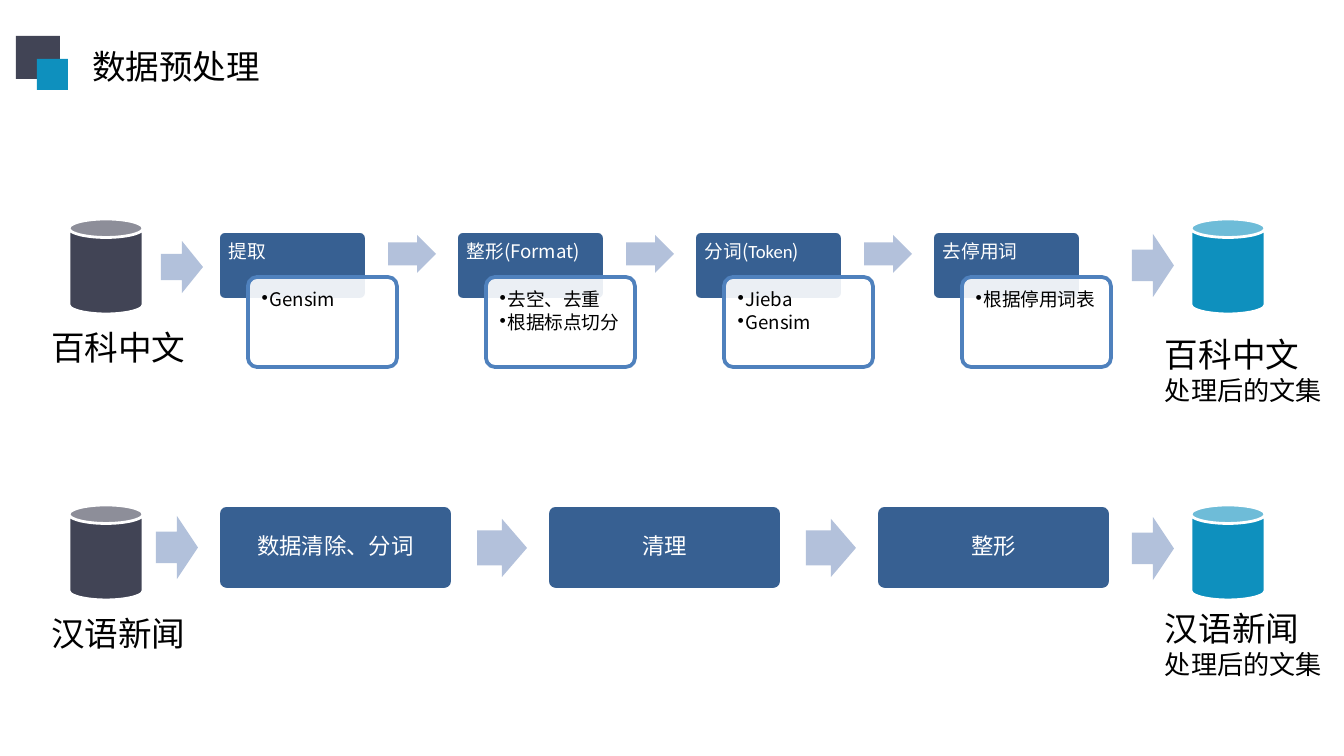
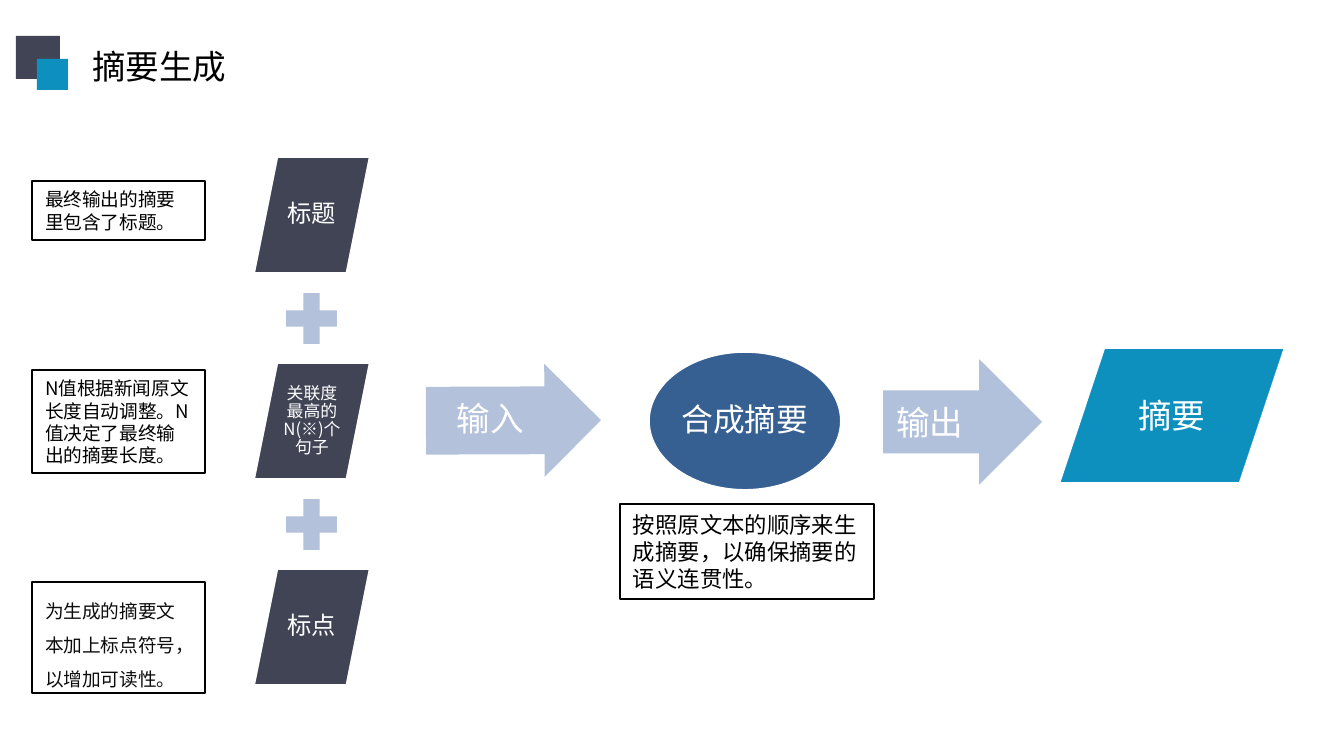
"""Builds two slides on data preprocessing and summary generation."""
from lxml import etree
from pptx import Presentation
from pptx.dml.color import RGBColor
from pptx.enum.shapes import MSO_SHAPE
from pptx.enum.text import MSO_ANCHOR, MSO_AUTO_SIZE, PP_ALIGN
from pptx.oxml.ns import qn
from pptx.util import Emu, Pt

RECT, ROUND, CAN = MSO_SHAPE.RECTANGLE, MSO_SHAPE.ROUNDED_RECTANGLE, MSO_SHAPE.CAN
ARROW, PLUS, OVAL = MSO_SHAPE.RIGHT_ARROW, MSO_SHAPE.MATH_PLUS, MSO_SHAPE.OVAL
DATA = MSO_SHAPE.FLOWCHART_DATA
TOP, MIDDLE = MSO_ANCHOR.TOP, MSO_ANCHOR.MIDDLE
LEFT, CENTER = PP_ALIGN.LEFT, PP_ALIGN.CENTER

PIXEL = 914400 / 134.4
FONT = "Noto Sans CJK SC"
DARK, TEAL, BLUE, FRAME = "414455", "0E90BE", "376092", "4F81BD"
PALE, PALE_OUT, WHITE, BLACK = "B3C1DB", "B2C1DB", "FFFFFF", "000000"
NARROW_ARROW = (0.6, 0.5)
color = RGBColor.from_string


def draw(page, kind, bounds, fill=None, line=None, weight=2, adjust=()):
    """Add a preset shape with its fill, outline and adjustments."""
    shape = page.shapes.add_shape(kind, *[Emu(round(v * PIXEL)) for v in bounds])
    shape.shadow.inherit = False
    for index, value in enumerate(adjust):
        shape.adjustments[index] = value
    if fill:
        shape.fill.solid()
        shape.fill.fore_color.rgb = color(fill)
    else:
        shape.fill.background()
    if line:
        shape.line.color.rgb = color(line)
        shape.line.width = Pt(weight)
    else:
        shape.line.fill.background()
    return shape


def write(shape, lines, sizes, ink=BLACK, align=LEFT, anchor=TOP,
          insets=(13, 7, 13, 7), spacing=1.0, font=FONT, bullet=False):
    """Fill a shape with paragraphs; a bar inside a line starts a new run."""
    frame = shape.text_frame
    frame.word_wrap = True
    frame.auto_size = MSO_AUTO_SIZE.NONE
    frame.vertical_anchor = anchor
    (frame.margin_left, frame.margin_top, frame.margin_right,
     frame.margin_bottom) = [Emu(round(v * PIXEL)) for v in insets]
    for index, (line, size) in enumerate(zip(lines, sizes)):
        para = frame.paragraphs[0] if index == 0 else frame.add_paragraph()
        para.alignment = align
        para.line_spacing = spacing
        for piece in line.split("|"):
            span = para.add_run()
            span.text = piece
            span.font.size = Pt(size)
            span.font.name = font
            span.font.color.rgb = color(ink)
            east = etree.SubElement(span.font._element, qn("a:ea"))
            east.set("typeface", FONT)
        if bullet:
            para.space_after = Pt(1.5)
            settings = para._p.get_or_add_pPr()
            settings.set("marL", str(round(8 * PIXEL)))
            settings.set("indent", str(round(-8 * PIXEL)))
            etree.SubElement(settings, qn("a:buChar")).set("char", "•")
    return frame


deck = Presentation()
deck.slide_width, deck.slide_height = Emu(round(1344 * PIXEL)), Emu(round(756 * PIXEL))

pages = []
for heading in ("数据预处理", "摘要生成"):
    page = deck.slides.add_slide(deck.slide_layouts[5])
    title = page.shapes.title
    title.left, title.top, title.width, title.height = [
        Emu(round(v * PIXEL)) for v in (79, 39, 34 * len(heading) + 26, 54)]
    write(title, [heading], [18]).word_wrap = False
    draw(page, RECT, (16, 36, 44, 43), DARK)
    draw(page, RECT, (37, 59, 31, 31), TEAL)
    pages.append(page)
preprocessing, summary = pages

steps = [
    ("提取", ["Gensim"]),
    ("整形(Format)", ["去空、去重", "根据标点切分"]),
    ("分词(|Token|)", ["Jieba", "Gensim"]),
    ("去停用词", ["根据停用词表"]),
]
for index, (heading, details) in enumerate(steps):
    left = 218 + 238 * index
    header = draw(preprocessing, ROUND, (left, 231, 149, 69), BLUE, WHITE, adjust=(0.1,))
    frame = write(header, [heading], [10], WHITE, insets=(9, 9, 9, 5), spacing=0.9)
    for span in frame.paragraphs[0].runs:
        if span.text == "Token":
            span.font.name = "Calibri"
    card = draw(preprocessing, ROUND, (left + 30, 277, 149, 90), WHITE, FRAME, adjust=(0.1,))
    paint = card._element.spPr.find(qn("a:solidFill"))
    etree.SubElement(paint[0], qn("a:alpha")).set("val", "90000")
    write(card, details, [10] * len(details), insets=(11, 11, 11, 11),
          spacing=0.9, bullet=True)
    if index < len(steps) - 1:
        draw(preprocessing, ARROW, (left + 170, 235, 48, 38), PALE, adjust=NARROW_ARROW)

stages = ["数据清除、分词", "清理", "整形"]
for index, stage in enumerate(stages):
    left = 218 + 329 * index
    box = draw(preprocessing, ROUND, (left, 505, 235, 85), BLUE, WHITE, adjust=(0.1,))
    write(box, [stage], [12], WHITE, CENTER, MIDDLE, (7, 7, 7, 7), 0.9)
    if index < len(stages) - 1:
        draw(preprocessing, ARROW, (left + 259, 519, 50, 58), PALE, adjust=NARROW_ARROW)

corpora = [
    ("百科中文", 219, (161, 241, 42, 52), (1132, 234, 42, 63), 320, 327),
    ("汉语新闻", 505, (156, 516, 42, 63), (1132, 517, 42, 63), 606, 601),
]
for name, top, arrow_in, arrow_out, source_top, result_top in corpora:
    draw(preprocessing, CAN, (69, top, 74, 95), DARK, WHITE, 1.5)
    draw(preprocessing, CAN, (1191, top, 74, 95), TEAL, WHITE, 1.5)
    for bounds in (arrow_in, arrow_out):
        draw(preprocessing, ARROW, bounds, PALE_OUT)
    write(draw(preprocessing, RECT, (38, source_top, 224, 54)), [name], [18])
    write(draw(preprocessing, RECT, (1152, result_top, 192, 86)),
          [name, "处理后的文集"], [18, 14])

parts = [("标题", 13, "Courier New"), ("关联度最高的N(※)个句子", 9, FONT), ("标点", 13, FONT)]
for index, (part, size, font) in enumerate(parts):
    top = 156 + 206 * index
    box = draw(summary, DATA, (253, top, 118, 118), DARK, WHITE)
    write(box, [part], [size], WHITE, CENTER, MIDDLE, (2, 2, 2, 2), 0.9, font)
    if index < len(parts) - 1:
        draw(summary, PLUS, (277, top + 128, 69, 69), PALE)

arrow = draw(summary, ARROW, (426, 364, 175, 113), PALE, adjust=NARROW_ARROW)
arrow.rotation = 359.8
write(arrow, ["输入"], [18], WHITE, CENTER, MIDDLE, (0, 0, 12, 0), 0.9)
oval = draw(summary, OVAL, (648, 351, 194, 140), BLUE, WHITE)
write(oval, ["合成摘要"], [17], WHITE, CENTER, MIDDLE, (2, 2, 2, 2), 0.9)
arrow = draw(summary, ARROW, (883, 359, 159, 126), PALE_OUT)
write(arrow, ["输出"], [18], WHITE, anchor=MIDDLE)
result = draw(summary, DATA, (1058, 347, 228, 137), TEAL, WHITE)
write(result, ["摘要"], [18], WHITE, CENTER, MIDDLE, font="Courier New")

notes = [
    ((620, 504, 254, 95), "按照原文本的顺序来生成摘要，以确保摘要的语义连贯性。", 12, 1.0, BLACK),
    ((32, 370, 173, 103), "N值根据新闻原文长度自动调整。N值决定了最终输出的摘要长度。", 10, 1.0, BLACK),
    ((32, 582, 173, 111), "为生成的摘要文本加上标点符号，以增加可读性。", 10, 1.5, "0D0D0D"),
    ((32, 181, 173, 59), "最终输出的摘要里包含了标题。", 10, 1.0, BLACK),
]
for bounds, text, size, spacing, ink in notes:
    note = draw(summary, RECT, bounds, line=BLACK, weight=0.75)
    write(note, [text], [size], ink, spacing=spacing)

deck.save("out.pptx")
